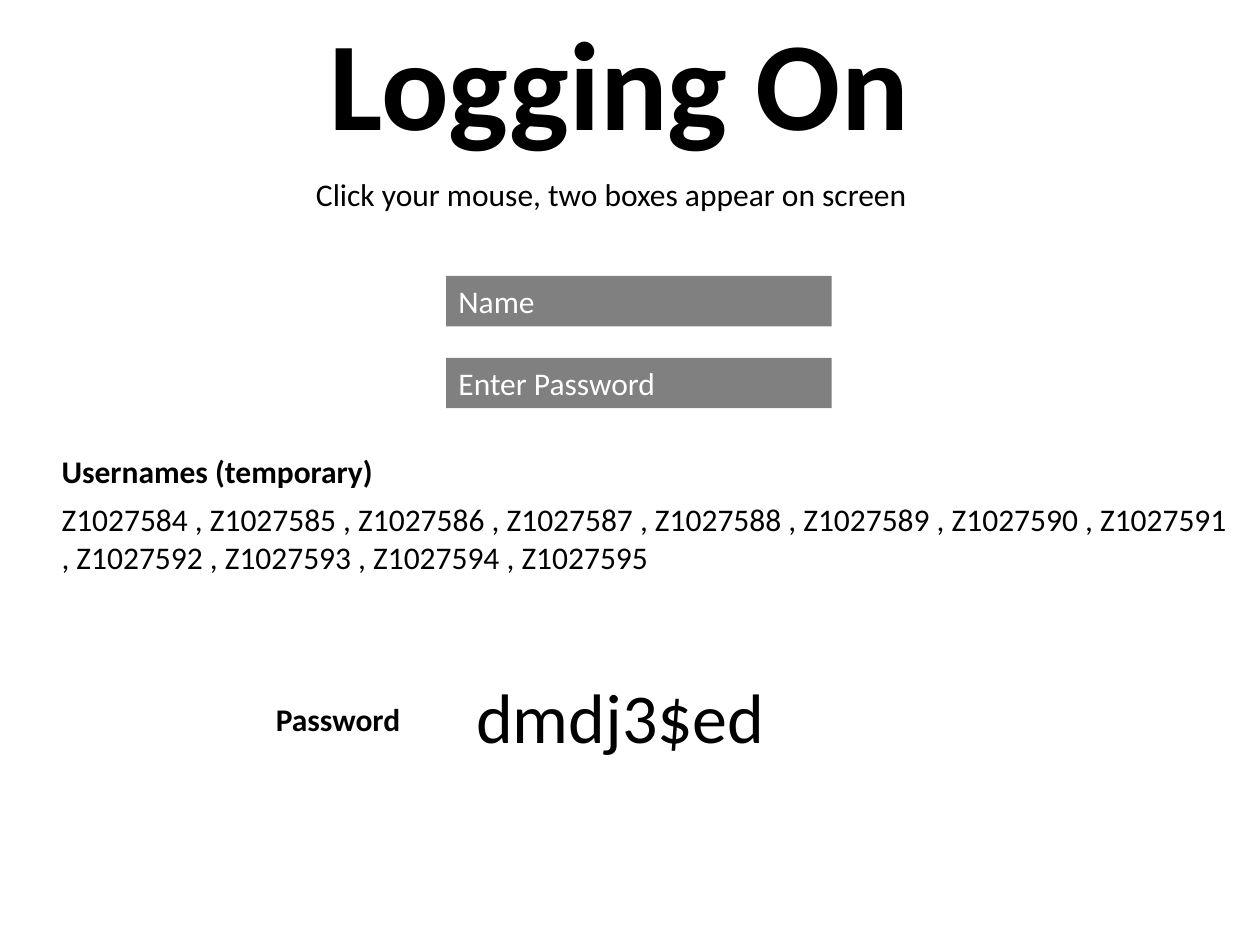
from dataclasses import dataclass

from pptx import Presentation
from pptx.dml.color import RGBColor
from pptx.enum import shapes, text
from pptx.util import Inches, Pt

COLUMNS, ROWS = 100, 75
SLIDE_WIDTH, SLIDE_HEIGHT = Inches(10), Inches(7.5)
BLACK, WHITE, GREY = "000000", "FFFFFF", "808080"
LINE_ROWS = 4


@dataclass(frozen=True)
class Label:
    """A piece of text placed on the slide grid."""

    wording: str
    column: float
    row: float
    columns: float
    rows: float = LINE_ROWS
    size: int = 18
    bold: bool = False
    wrap: bool = False
    color: str = BLACK
    fill: str | None = None


def entry_field(wording: str, row: float) -> Label:
    """Describe a grey login field."""
    return Label(wording, 35.4, row, 30.6, wrap=True, color=WHITE, fill=GREY)


USERNAMES = " , ".join(f"Z{number}" for number in range(1027584, 1027596))
LOGIN = [
    Label("Logging On", 25.2, -0.1, 48.5, 13.1, size=72, bold=True),
    entry_field("Name", 21.9),
    Label("Click your mouse, two boxes appear on screen", 24.1, 13.4, 49.6),
    entry_field("Enter Password", 28.4),
]
USERNAME_GROUP = [
    Label("Usernames (temporary)", 3.9, 35.4, 27.1, bold=True),
    Label(USERNAMES, 3.9, 39.2, 94.6, 7.1, wrap=True),
]
PASSWORD_GROUP = [
    Label("Password", 20.9, 55.1, 12.1, bold=True),
    Label("dmdj3$ed", 36.8, 53, 25.2, 7.7, size=40),
]


def rgb(color: str) -> RGBColor:
    """Turn a hex string into a colour."""
    return RGBColor.from_string(color)


def draw_label(container, label: Label) -> None:
    """Draw a label as a text box, or as a rectangle if it has a fill."""
    place = (
        round(SLIDE_WIDTH * label.column / COLUMNS),
        round(SLIDE_HEIGHT * label.row / ROWS),
        round(SLIDE_WIDTH * label.columns / COLUMNS),
        round(SLIDE_HEIGHT * label.rows / ROWS),
    )
    if label.fill:
        shape = container.add_shape(shapes.MSO_SHAPE.RECTANGLE, *place)
        shape.shadow.inherit = False
        shape.fill.solid()
        shape.fill.fore_color.rgb = rgb(label.fill)
        shape.line.fill.background()
    else:
        shape = container.add_textbox(*place)
    frame = shape.text_frame
    frame.text = label.wording
    frame.word_wrap = label.wrap
    frame.auto_size = text.MSO_AUTO_SIZE.SHAPE_TO_FIT_TEXT
    frame.vertical_anchor = text.MSO_ANCHOR.TOP
    paragraph = frame.paragraphs[0]
    paragraph.alignment = text.PP_ALIGN.LEFT
    font = paragraph.runs[0].font
    font.name = "Calibri"
    font.size = Pt(label.size)
    font.bold = label.bold
    font.color.rgb = rgb(label.color)


def main() -> None:
    """Build the slide and save it."""
    presentation = Presentation()
    presentation.slide_width, presentation.slide_height = SLIDE_WIDTH, SLIDE_HEIGHT
    slide = presentation.slides.add_slide(presentation.slide_layouts[6])
    for label in LOGIN:
        draw_label(slide.shapes, label)
    for labels in (USERNAME_GROUP, PASSWORD_GROUP):
        group = slide.shapes.add_group_shape()
        for label in labels:
            draw_label(group.shapes, label)
    presentation.save("out.pptx")


if __name__ == "__main__":
    main()
